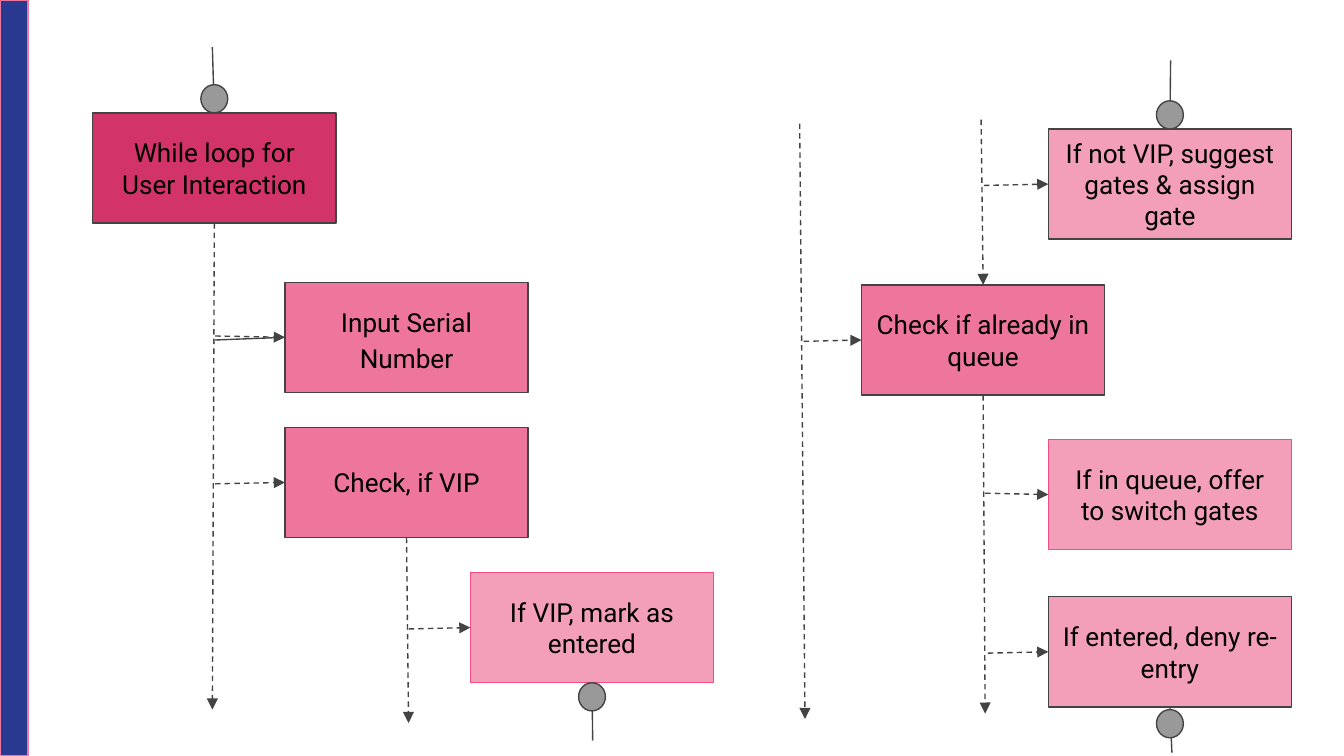
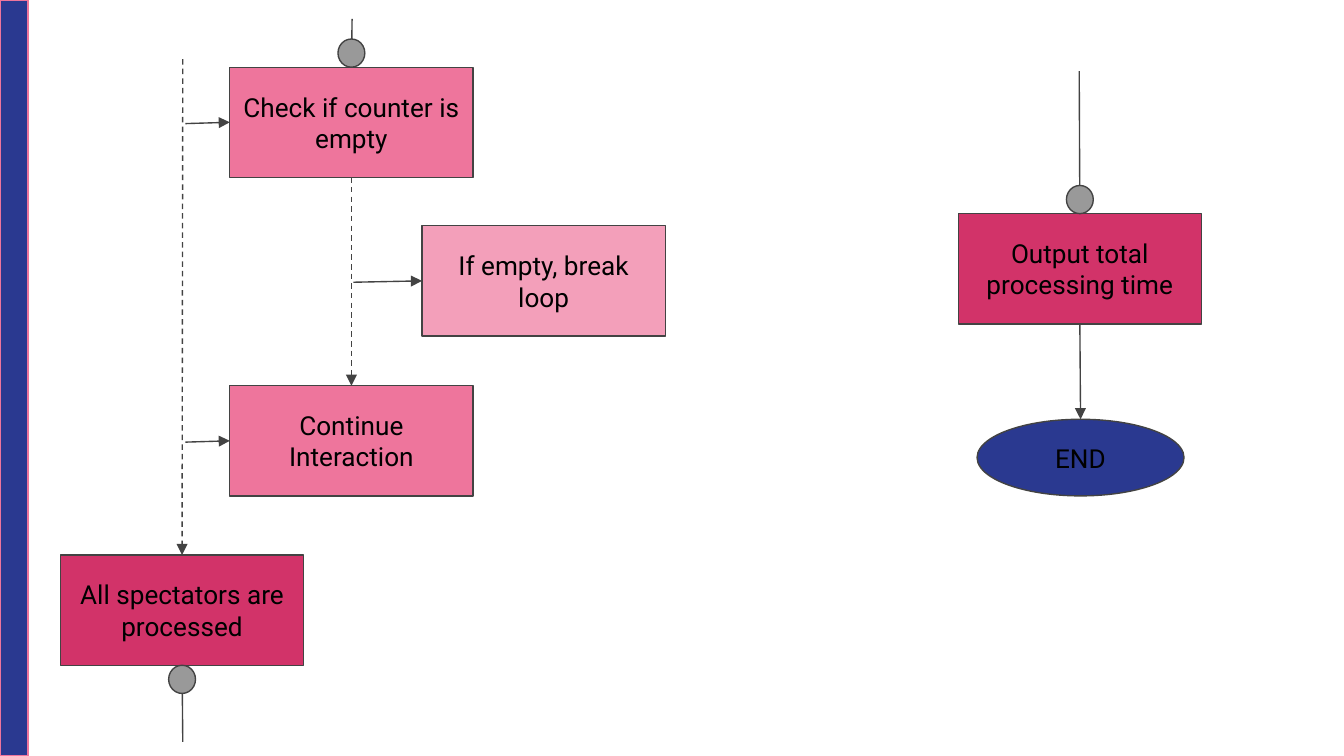
from lxml.etree import SubElement
from pptx import Presentation
from pptx.dml.color import RGBColor
from pptx.enum.dml import MSO_LINE
from pptx.enum.shapes import MSO_CONNECTOR, MSO_SHAPE
from pptx.enum.text import MSO_ANCHOR, PP_ALIGN
from pptx.oxml.ns import qn
from pptx.util import Inches, Pt

# Shared style
FONT, TEXT_SIZE = "Roboto", 14
INK, TEXT, GREY, NAVY = "434343", "000000", "999999", "2A3990"
CRIMSON, PINK, HOT_PINK = "D23369", "EE759C", "F04F83"
PALE_OPACITY = 69

# Grid: 100 columns across, square cells
CELL = Inches(0.1)
COLUMNS, ROWS = 100, 56.25
BOX_WIDTH, BOX_HEIGHT = 18.1, 8.2
DOT_WIDTH, DOT_HEIGHT = 2, 2.1
BAND_WIDTH = 2.1

# Connection sites
TOP, LEFT, BOTTOM = 0, 1, 2


def grid(cells):
    return round(cells * CELL)


def color(value):
    return RGBColor.from_string(value)


class FlowChart:
    def __init__(self):
        self.presentation = Presentation()
        self.presentation.slide_width = grid(COLUMNS)
        self.presentation.slide_height = grid(ROWS)
        self.slide = None

    def new_slide(self):
        layout = self.presentation.slide_layouts[6]
        self.slide = self.presentation.slides.add_slide(layout)
        self.shape(MSO_SHAPE.RECTANGLE, 0, 0, BAND_WIDTH, ROWS, NAVY, PINK)

    def shape(self, kind, column, row, width, height, fill, outline=INK):
        shape = self.slide.shapes.add_shape(
            kind, grid(column), grid(row), grid(width), grid(height))
        shape.shadow.inherit = False
        shape.fill.solid()
        shape.fill.fore_color.rgb = color(fill)
        shape.line.color.rgb = color(outline)
        shape.line.width = Pt(0.75)
        return shape

    def label(self, shape, text, spacing=1.0):
        frame = shape.text_frame
        frame.word_wrap = True
        frame.vertical_anchor = MSO_ANCHOR.MIDDLE
        frame.margin_left = frame.margin_right = grid(1)
        frame.margin_top = frame.margin_bottom = grid(1)
        paragraph = frame.paragraphs[0]
        paragraph.text = text
        paragraph.alignment = PP_ALIGN.CENTER
        paragraph.line_spacing = spacing
        paragraph.font.name = FONT
        paragraph.font.size = Pt(TEXT_SIZE)
        paragraph.font.color.rgb = color(TEXT)

    def box(self, text, column, row, fill=PINK, outline=INK, spacing=1.0):
        box = self.shape(MSO_SHAPE.RECTANGLE, column, row,
                         BOX_WIDTH, BOX_HEIGHT, fill, outline)
        self.label(box, text, spacing)
        return box

    def pale_box(self, text, column, row, outline=INK):
        box = self.box(text, column, row, outline=outline)
        fill = box._element.spPr.find(qn("a:solidFill"))
        SubElement(fill[0], qn("a:alpha"), val=str(PALE_OPACITY * 1000))
        return box

    def line(self, start, end, dashed=False, arrow=False):
        """Each end is (column, row) or (shape, connection site)."""
        connector = self.slide.shapes.add_connector(
            MSO_CONNECTOR.STRAIGHT, 0, 0, 0, 0)
        if hasattr(start[0], "shape_id"):
            connector.begin_connect(*start)
        else:
            connector.begin_x, connector.begin_y = map(grid, start)
        if hasattr(end[0], "shape_id"):
            connector.end_connect(*end)
        else:
            connector.end_x, connector.end_y = map(grid, end)
        connector.line.color.rgb = color(INK)
        connector.line.width = Pt(0.75)
        if dashed:
            connector.line.dash_style = MSO_LINE.DASH
        if arrow:
            SubElement(connector.line._get_or_add_ln(), qn("a:tailEnd"),
                       type="triangle")
        SubElement(connector._element.spPr, qn("a:effectLst"))

    def arrow(self, start, end, dashed=True):
        self.line(start, end, dashed, arrow=True)

    def branches(self, starts, dashed=True):
        for box, start in starts:
            self.arrow(start, (box, LEFT), dashed)

    def port(self, box, site, outside, gap=0, arrow=False):
        """A grey dot on a box, with a line leading off to another part."""
        self.line(outside, (box, site), arrow=arrow)
        column = (box.left + box.width / 2) / CELL - DOT_WIDTH / 2
        if site == TOP:
            row = box.top / CELL - DOT_HEIGHT - gap
        else:
            row = (box.top + box.height) / CELL + gap
        self.shape(MSO_SHAPE.OVAL, column, row, DOT_WIDTH, DOT_HEIGHT, GREY)


def interaction_slide(chart):
    chart.new_slide()

    # Steps
    loop = chart.box("While loop for User Interaction", 6.9, 8.4, CRIMSON)
    serial = chart.box("Input Serial Number", 21.2, 21, spacing=1.15)
    vip = chart.box("Check, if VIP", 21.2, 31.8)
    entered = chart.pale_box("If VIP, mark as entered", 35, 42.6, HOT_PINK)
    suggest = chart.pale_box("If not VIP, suggest gates & assign gate", 78, 9.6)
    queue = chart.box("Check if already in queue", 64.1, 21.2)
    deny = chart.pale_box("If entered, deny re-entry", 78, 44.4)
    switch = chart.pale_box("If in queue, offer to switch gates", 78, 32.7, HOT_PINK)

    # Downward flow
    chart.arrow((loop, BOTTOM), (15.8, 52.8))
    chart.arrow((vip, BOTTOM), (30.4, 53.8))
    chart.arrow((59.5, 9.2), (59.9, 53.5))
    chart.arrow((73, 8.9), (queue, TOP))
    chart.arrow((queue, BOTTOM), (73.3, 53.1))

    # Branches into steps
    chart.line((serial, LEFT), (16, 25.3))
    chart.branches([
        (serial, (16, 25)), (vip, (16, 36)), (entered, (30.4, 46.8)),
        (queue, (59.8, 25.4)), (suggest, (73.2, 13.8)),
        (switch, (73.3, 36.7)), (deny, (73.5, 48.6)),
    ])

    # Links to other parts
    chart.port(loop, TOP, (15.8, 3.5))
    chart.port(entered, BOTTOM, (44.1, 55.1))
    chart.port(suggest, TOP, (87.1, 4.5))
    chart.port(deny, BOTTOM, (87.2, 56), gap=0.2)


def closing_slide(chart):
    chart.new_slide()

    # Steps
    counter = chart.box("Check if counter is empty", 17.1, 5)
    proceed = chart.box("Continue Interaction", 17.1, 28.7)
    stop = chart.pale_box("If empty, break loop", 31.4, 16.8)
    processed = chart.box("All spectators are processed", 4.5, 41.3, CRIMSON)
    output = chart.box("Output total processing time", 71.3, 15.9, CRIMSON)
    end = chart.shape(MSO_SHAPE.FLOWCHART_CONNECTOR, 72.7, 31.2, 15.4, 5.7, NAVY)
    chart.label(end, "END")

    # Downward flow
    chart.arrow((13.6, 4.4), (processed, TOP))
    chart.arrow((counter, BOTTOM), (proceed, TOP))
    chart.arrow((output, BOTTOM), (end, TOP), dashed=False)

    # Branches into steps
    chart.branches([
        (counter, (13.8, 9.2)), (proceed, (13.8, 32.9)), (stop, (26.3, 21)),
    ], dashed=False)

    # Links to other parts
    chart.port(counter, TOP, (26.2, 1.4))
    chart.port(processed, BOTTOM, (13.6, 55.2))
    chart.port(output, TOP, (80.3, 5.3), arrow=True)


def main():
    chart = FlowChart()
    interaction_slide(chart)
    closing_slide(chart)
    chart.presentation.save("out.pptx")


if __name__ == "__main__":
    main()
